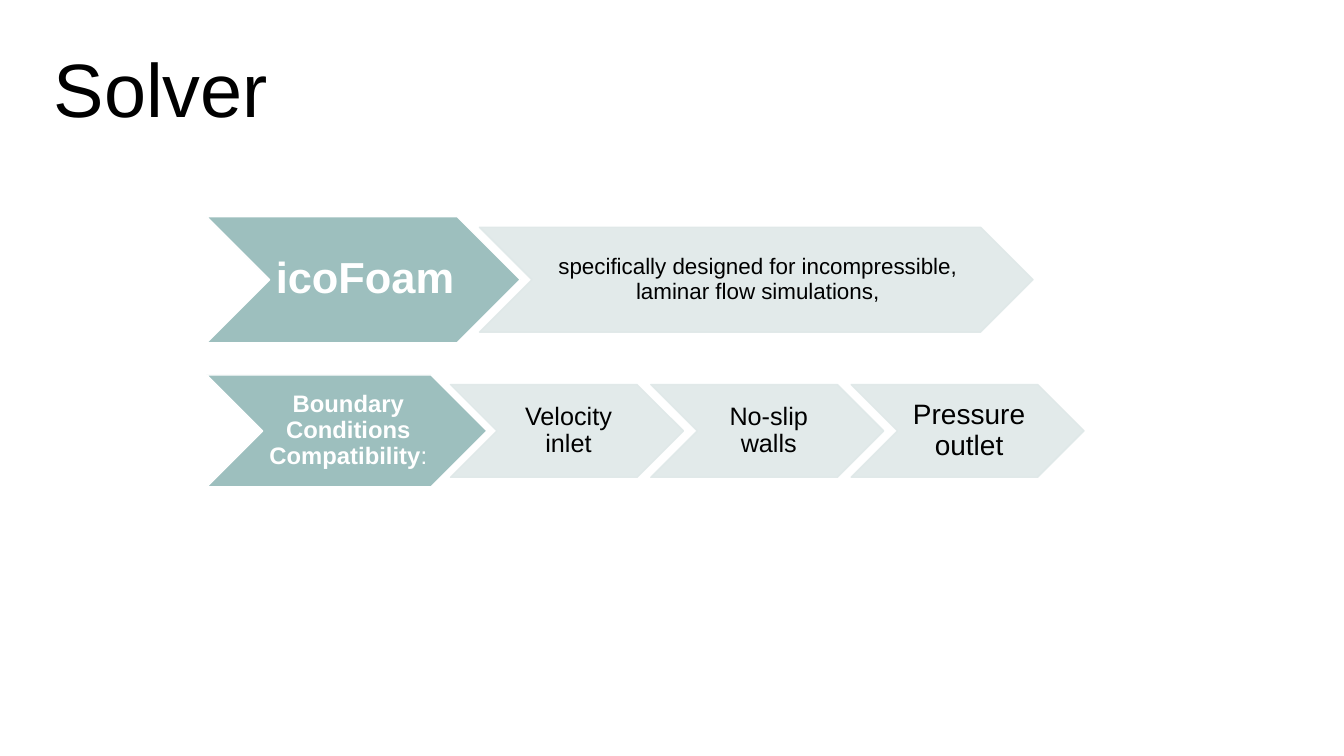
import lxml.etree
import pptx
import pptx.dml.color
import pptx.enum.shapes
import pptx.enum.text
import pptx.oxml.ns
import pptx.util

Inches = pptx.util.Inches
Pt = pptx.util.Pt

COLORS = {"lead": "9DBFBE", "detail": "DFE8E8", "white": "FFFFFF", "black": "000000"}
LEAD_OVERLAP = 0.13
DETAIL_OVERLAP = 0.14
MARGINS = {"margin_left": 0.03, "margin_right": 0, "margin_top": 0.01, "margin_bottom": 0.01}


def rgb(name):
    """Return the named colour."""
    return pptx.dml.color.RGBColor.from_string(COLORS[name])


def write_run(paragraph, text, size, color, bold=False):
    """Append one formatted run to a paragraph."""
    run = paragraph.add_run()
    run.text = text
    run.font.color.rgb = rgb(color)
    for attribute, value in {"name": "Arial", "size": Pt(size), "bold": bold}.items():
        setattr(run.font, attribute, value)


def add_title(slide, left, top, width, height):
    """Place the slide title in the given box."""
    title = slide.shapes.add_textbox(Inches(left), Inches(top), Inches(width), Inches(height))
    title.text_frame.word_wrap = False
    heading = title.text_frame.paragraphs[0]
    heading.alignment = pptx.enum.text.PP_ALIGN.CENTER
    write_run(heading, "Solver ", 54, "black")


def add_chevron(slide, box, fill, line, runs, alpha=None):
    """Draw one captioned chevron; runs hold text, size, colour and boldness."""
    chevron = slide.shapes.add_shape(
        pptx.enum.shapes.MSO_SHAPE.CHEVRON, *(Inches(length) for length in box))
    chevron.shadow.inherit = False
    chevron.fill.solid()
    chevron.fill.fore_color.rgb = rgb(fill)
    chevron.line.color.rgb = rgb(line)
    chevron.line.width = Pt(1)
    if alpha:
        properties = chevron.fill._xPr
        for color in properties.iter(pptx.oxml.ns.qn("a:srgbClr")):
            opacity = lxml.etree.SubElement(color, pptx.oxml.ns.qn("a:alpha"))
            opacity.set("val", str(alpha * 1000))
    caption = chevron.text_frame
    caption.word_wrap = True
    caption.vertical_anchor = pptx.enum.text.MSO_ANCHOR.MIDDLE
    for side, margin in MARGINS.items():
        setattr(caption, side, Inches(margin))
    paragraph = caption.paragraphs[0]
    paragraph.alignment = pptx.enum.text.PP_ALIGN.CENTER
    paragraph.line_spacing = 0.9
    for run in runs:
        write_run(paragraph, *run)


def add_chevron_row(slide, box, lead_runs, detail_size, details):
    """Place a lead chevron in the box and its details in line to the right."""
    left, top, width, height = box
    add_chevron(slide, box, "lead", "white", lead_runs)
    detail_width, detail_height = detail_size
    detail_left = left + width * (1 - LEAD_OVERLAP)
    detail_top = top + (height - detail_height) / 2
    for text, size in details:
        add_chevron(slide, (detail_left, detail_top, detail_width, detail_height),
                    "detail", "detail", [(text, size, "black")], alpha=90)
        detail_left += detail_width * (1 - DETAIL_OVERLAP)


def main():
    """Build and save the solver slide."""
    deck = pptx.Presentation()
    deck.slide_width, deck.slide_height = Inches(13.33), Inches(7.5)
    slide = deck.slides.add_slide(deck.slide_layouts[6])
    add_title(slide, 0.42, 0.37, 2.56, 1.01)
    add_chevron_row(
        slide, (2.05, 2.15, 3.11, 1.25), [("icoFoam", 31, "white", True)], (5.49, 1.04),
        [("specifically designed for incompressible, laminar flow simulations,", 16)])
    add_chevron_row(
        slide, (2.05, 3.72, 2.78, 1.11),
        [("Boundary Conditions Compatibility", 17, "white", True), (":", 17, "white")],
        (2.31, 0.92),
        [("Velocity inlet", 18), ("No-slip walls", 18), ("Pressure outlet", 20)])
    deck.save("out.pptx")


if __name__ == "__main__":
    main()
